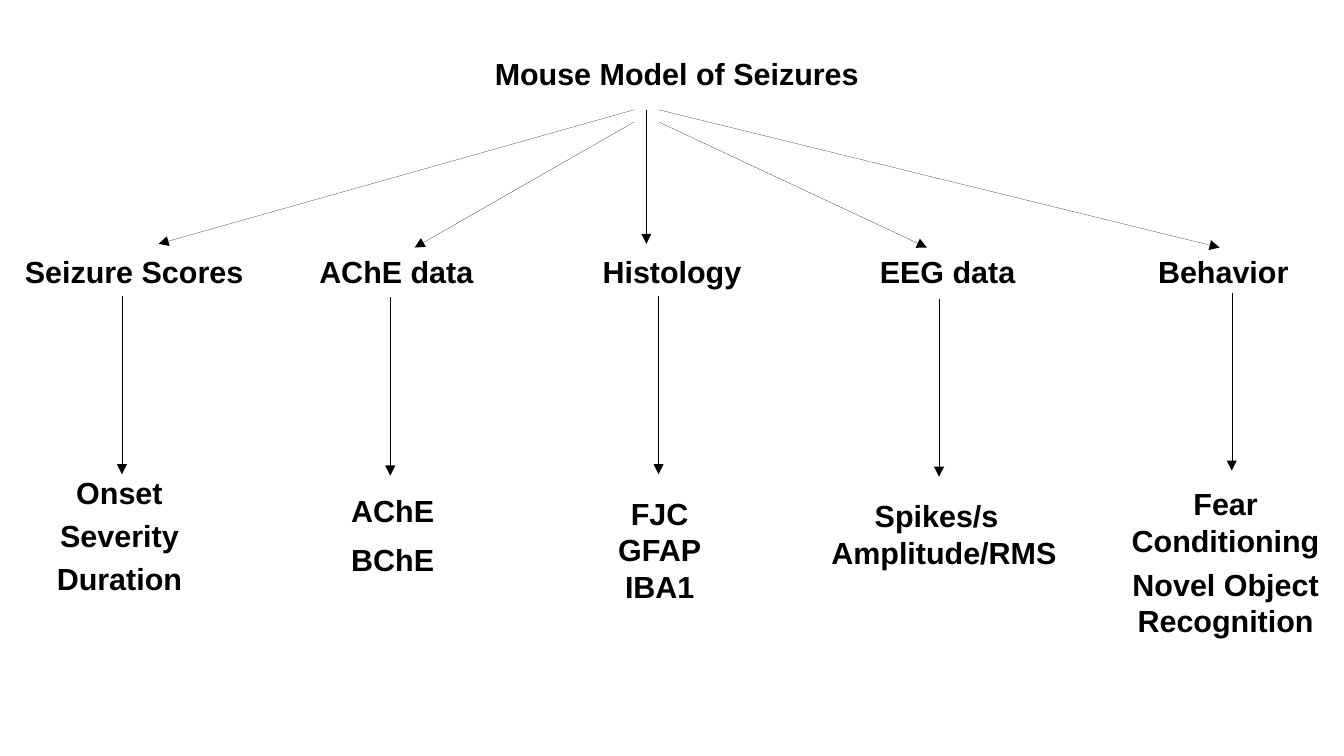
from dataclasses import dataclass

from lxml.etree import SubElement
from pptx import Presentation
from pptx.dml.color import RGBColor as Rgb
from pptx.enum.shapes import MSO_CONNECTOR as Link
from pptx.enum.text import MSO_ANCHOR as Anchor, MSO_AUTO_SIZE as Fit, PP_ALIGN as Align
from pptx.oxml.ns import qn
from pptx.shapes.autoshape import Shape
from pptx.slide import Slide
from pptx.util import Inches, Pt

COLORS = {"ink": "000000"}
PITCH, ROW, STEM = 2.26, 2.03, 1.46
Point = tuple[float, float]


@dataclass
class Item:
    text: str
    wide: float = 1.96
    high: float = 0.4


@dataclass
class Branch:
    head: Item
    start: Point
    tip: Point
    stem: Point
    left: float
    top: float
    step: float
    items: list[Item]


BRANCHES = [
    Branch(Item("Seizure Scores", 2.2, 0.66), (5.2, 0.9), (1.3, 2), (1, 2.43),
           0, 3.84, 0.35, [Item("Onset"), Item("Severity"), Item("Duration")]),
    Branch(Item("AChE data", 1.98), (5.2, 1), (3.4, 2.03), (3.2, 2.44),
           2.24, 3.99, 0.4, [Item("AChE"), Item("BChE")]),
    Branch(Item("Histology", 1.98), (5.3, 0.9), (5.3, 2), (5.4, 2.43),
           4.43, 4.01, 0.3, [Item("FJC"), Item("GFAP"), Item("IBA1")]),
    Branch(Item("EEG data", 1.98), (5.4, 1), (7.6, 2.03), (7.7, 2.45),
           6.7, 4.03, 0.3, [Item("Spikes/s"), Item("Amplitude/RMS", 2.08, 0.66)]),
    Branch(Item("Behavior", 1.98), (5.4, 0.9), (10, 2.03), (10.1, 2.4),
           9.07, 3.93, 0.66, [Item("Fear Conditioning", high=0.66),
                              Item("Novel Object Recognition", high=0.66)]),
]


def write(box: Shape, text: str) -> None:
    """Fill a box with one bold, centred paragraph."""
    frame = box.text_frame
    frame.word_wrap = True
    frame.auto_size = Fit.SHAPE_TO_FIT_TEXT
    frame.vertical_anchor = Anchor.TOP
    para = frame.paragraphs[0]
    para.text = text
    para.alignment = Align.CENTER
    font = para.font
    font.name, font.size, font.bold = "Arial", Pt(18), True
    font.color.rgb = Rgb.from_string(COLORS["ink"])


def label(slide: Slide, item: Item, left: float, top: float) -> None:
    """Place an item as a text box."""
    box = slide.shapes.add_textbox(
        Inches(left), Inches(top), Inches(item.wide), Inches(item.high))
    write(box, item.text)


def arrow(slide: Slide, start: Point, tip: Point) -> None:
    """Draw a hairline with a triangle at its tip."""
    ends = [Inches(n) for n in (*start, *tip)]
    line = slide.shapes.add_connector(Link.STRAIGHT, *ends)
    line.line.color.rgb = Rgb.from_string(COLORS["ink"])
    props = line._element.spPr
    stroke = props.find(qn("a:ln"))
    stroke.set("w", "0")
    SubElement(stroke, qn("a:tailEnd"), type="triangle")
    SubElement(props, qn("a:effectLst"))


def main() -> None:
    """Build the seizure model slide."""
    deck = Presentation()
    deck.slide_width, deck.slide_height = Inches(11.02), Inches(6.2)
    slide = deck.slides.add_slide(deck.slide_layouts[5])
    title = slide.shapes.title
    title.left, title.top = Inches(3.9), Inches(0.4)
    title.width, title.height = Inches(3.3), Inches(0.4)
    write(title, "Mouse Model of Seizures")
    for col, branch in enumerate(BRANCHES):
        label(slide, branch.head, col * PITCH, ROW)
        for row, item in enumerate(branch.items):
            label(slide, item, branch.left, branch.top + row * branch.step)
        arrow(slide, branch.start, branch.tip)
        x, y = branch.stem
        arrow(slide, branch.stem, (x, y + STEM))
    deck.save("out.pptx")


if __name__ == "__main__":
    main()
